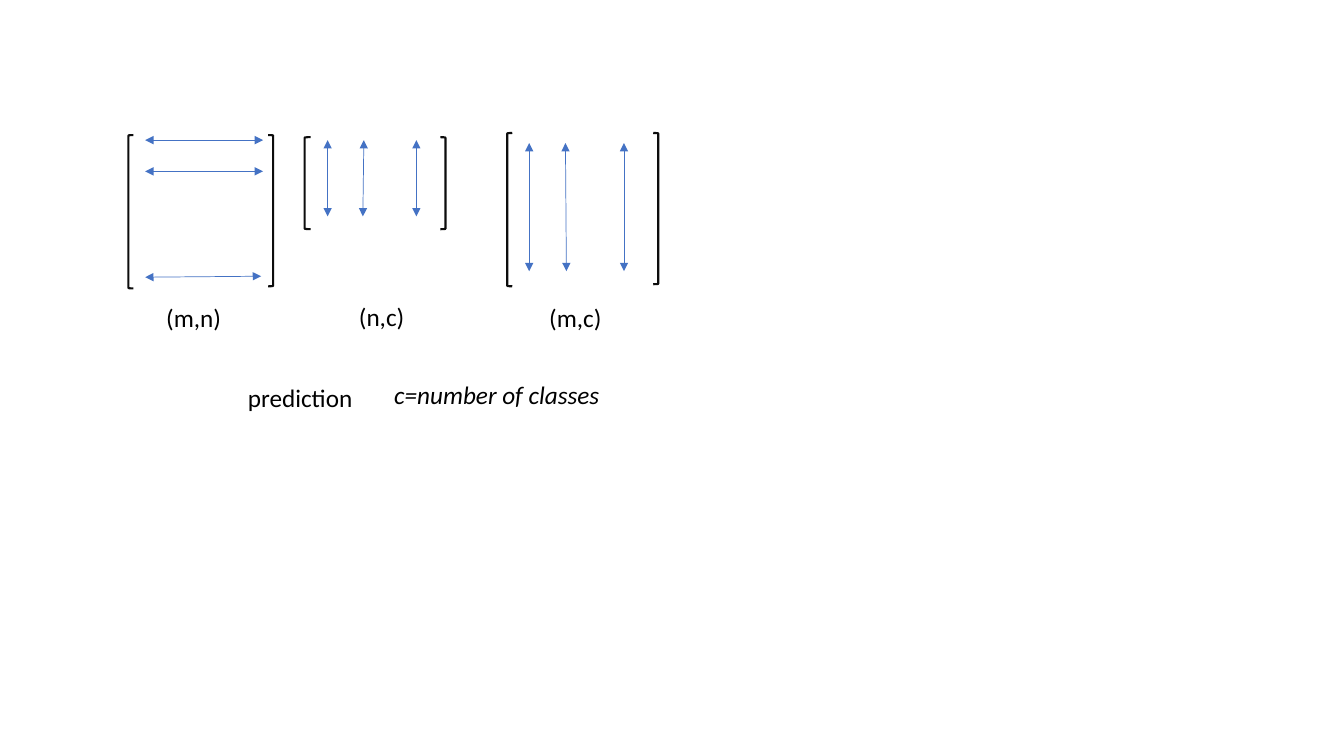
"""Builds a slide showing matrix shapes in a multi-class prediction."""
import dataclasses

import pptx
import pptx.dml.color
import pptx.enum.shapes
import pptx.enum.text
import pptx.oxml
import pptx.oxml.ns
import pptx.util


@dataclasses.dataclass(frozen=True)
class Theme:
    """Colours, font and sizes of the slide."""
    arrow: str = "4472C4"
    bracket: str = "0D0D0D"
    text: str = "000000"
    font: str = "Calibri"
    text_size: float = 18
    arrow_width: float = 0.5
    bracket_width: float = 1.5


class MatrixSlide:
    """Draws the parts of matrices on one slide, with lengths in points."""

    def __init__(self, slide, theme):
        """Keep the slide and its theme."""
        self.shapes = slide.shapes
        self.theme = theme

    def style_line(self, line, color, width):
        """Set the colour and width of a line."""
        line.color.rgb = pptx.dml.color.RGBColor.from_string(color)
        line.width = pptx.util.Pt(width)

    def arrow(self, *ends):
        """Draw a double-headed arrow from x1, y1 to x2, y2."""
        vector = self.shapes.add_connector(
            pptx.enum.shapes.MSO_CONNECTOR.STRAIGHT, *map(pptx.util.Pt, ends))
        self.style_line(vector.line, self.theme.arrow, self.theme.arrow_width)
        stroke = vector.line._get_or_add_ln()
        for end in ("a:headEnd", "a:tailEnd"):
            stroke.append(pptx.oxml.parse_xml(
                f'<{end} {pptx.oxml.ns.nsdecls("a")} type="triangle"/>'))
        vector._element.spPr.append(pptx.oxml.parse_xml(
            f'<a:effectLst {pptx.oxml.ns.nsdecls("a")}/>'))

    def bracket(self, left, top, width, height, rotation=0):
        """Draw one square bracket of a matrix."""
        bracket = self.shapes.add_shape(
            pptx.enum.shapes.MSO_SHAPE.LEFT_BRACKET,
            *map(pptx.util.Pt, (left, top, width, height)))
        bracket.rotation = rotation
        bracket.shadow.inherit = False
        bracket.fill.background()
        self.style_line(bracket.line, self.theme.bracket, self.theme.bracket_width)

    def matrix(self, left, right, top, heights, width, vectors):
        """Draw a pair of brackets around row or column arrows."""
        self.bracket(left, top, width, heights[0])
        self.bracket(right, top, 3.6, heights[1], 180)
        for ends in vectors:
            self.arrow(*ends)

    def label(self, text, left, top, width, italic=False,
              anchor=pptx.enum.text.MSO_ANCHOR.TOP):
        """Write one line of text."""
        label = self.shapes.add_textbox(
            *map(pptx.util.Pt, (left, top, width, 29)))
        frame = label.text_frame
        frame.word_wrap = False
        frame.auto_size = pptx.enum.text.MSO_AUTO_SIZE.SHAPE_TO_FIT_TEXT
        frame.vertical_anchor = anchor
        run = frame.paragraphs[0].add_run()
        run.text = text
        run.font.name = self.theme.font
        run.font.size = pptx.util.Pt(self.theme.text_size)
        run.font.italic = italic
        run.font.color.rgb = pptx.dml.color.RGBColor.from_string(self.theme.text)


def main():
    """Build and save the presentation."""
    deck = pptx.Presentation()
    deck.slide_width = pptx.util.Pt(960)
    deck.slide_height = pptx.util.Pt(540)
    page = MatrixSlide(deck.slides.add_slide(deck.slide_layouts[6]), Theme()) 

    samples = [(103.7, 100.1, 187.9, 100.1),
               (103.7, 122.4, 187.9, 122.4),
               (103.7, 198, 186.5, 197.3)]
    weights = [(x1, 100.1, x2, 154.6)
               for x1, x2 in ((234, 234), (259.9, 259.2), (297.4, 297.4))]
    scores = [(x1, 102.2, x2, 193.7)
              for x1, x2 in ((378, 378), (403.9, 404.6), (445.7, 445.7))]
    page.matrix(91.7, 191.5, 96.5, (109.5, 108), 3.6, samples)
    page.matrix(217.6, 314.6, 98, (65.7, 65.7), 4.3, weights)
    page.matrix(362.3, 466.6, 95, (109.5, 108), 3.6, scores)

    for dimensions, left, top, width in (("(m,n)", 111.6, 212.4, 54),
                                         ("(n,c)", 249.3, 211.7, 47.5),
                                         ("(m,c)", 385.2, 212.4, 54)):
        page.label(dimensions, left, top, width)
    bottom = pptx.enum.text.MSO_ANCHOR.BOTTOM
    page.label("prediction", 170, 269.5, 90, anchor=bottom)
    page.label("c=number of classes", 274.5, 267.3, 164, italic=True, anchor=bottom)
    deck.save("out.pptx")


if __name__ == "__main__":
    main()
